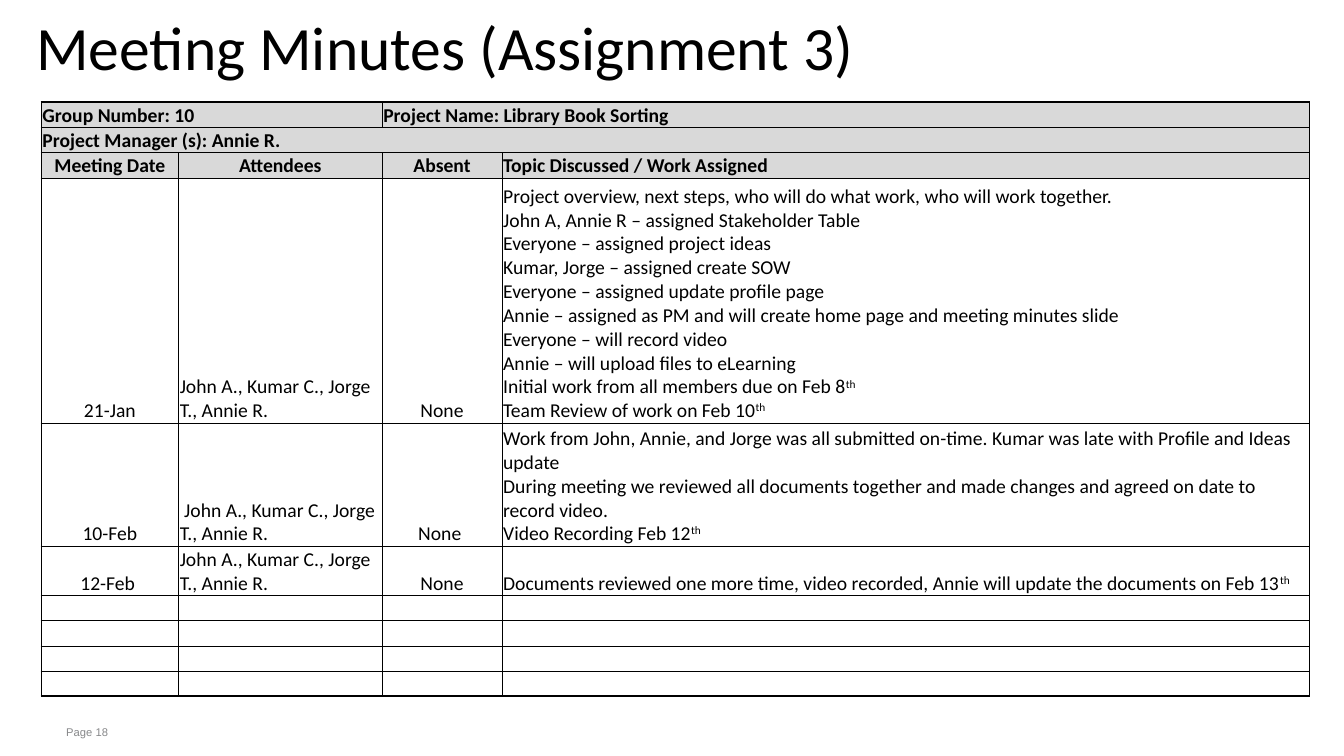
import pptx
import pptx.dml.color
import pptx.enum.text
import pptx.oxml.ns
import pptx.util
import lxml.etree

Cm = pptx.util.Cm
Pt = pptx.util.Pt
qn = pptx.oxml.ns.qn
ALIGN = pptx.enum.text.PP_ALIGN
ANCHOR = pptx.enum.text.MSO_ANCHOR


def write(tf, text, size=14, font="Calibri", color="000000", bold=False,
          align=ALIGN.LEFT, spacing=None):
    """Write one paragraph per line; what follows ^ in a line is superscript."""
    for i, line in enumerate(text.split("\n")):
        p = tf.add_paragraph() if i else tf.paragraphs[0]
        p.alignment = align
        if spacing:
            p.line_spacing = spacing
        base, _, raised = line.partition("^")
        for part in filter(None, (base, raised)):
            r = p.add_run()
            r.text = part
            r.font.size = Pt(size)
            r.font.name = font
            r.font.bold = bold
            r.font.color.rgb = pptx.dml.color.RGBColor.from_string(color)
            if part is raised:
                r._r.get_or_add_rPr().set("baseline", "30000")
        if not line:
            lxml.etree.SubElement(p._p, qn("a:endParaRPr"), sz=str(size * 100))


def set_borders(cell, **widths):
    tcPr = cell._tc.get_or_add_tcPr()
    for side, width in widths.items():
        ln = lxml.etree.SubElement(tcPr, qn("a:ln" + side), w=str(Pt(width)))
        fill = lxml.etree.SubElement(ln, qn("a:solidFill"))
        lxml.etree.SubElement(fill, qn("a:srgbClr"), val="000000")


prs = pptx.Presentation()
prs.slide_width = Cm(33.87)
prs.slide_height = Cm(19.05)
s = prs.slides.add_slide(prs.slide_layouts[5])

# Title
title = s.shapes.title
title.left, title.top, title.width, title.height = Cm(0.71), Cm(0.66), Cm(24.31), Cm(1.4)
tf = title.text_frame
tf.word_wrap = True
tf.auto_size = pptx.enum.text.MSO_AUTO_SIZE.NONE
tf.vertical_anchor = ANCHOR.MIDDLE
tf.margin_left = tf.margin_right = Cm(0.2)
tf.margin_top = tf.margin_bottom = 0
write(tf, "Meeting Minutes (Assignment 3)", size=44, spacing=0.75)

# Minutes table
rows = [
    ["Group Number: 10", "", "Project Name: Library Book Sorting", ""],
    ["Project Manager (s): Annie R.", "", "", ""],
    ["Meeting Date", "Attendees", "Absent", "Topic Discussed / Work Assigned"],
    ["21-Jan", "John A., Kumar C., Jorge T., Annie R.", "None",
     "Project overview, next steps, who will do what work, who will work together.\n"
     "John A, Annie R – assigned Stakeholder Table\n"
     "Everyone – assigned project ideas\n"
     "Kumar, Jorge – assigned create SOW\n"
     "Everyone – assigned update profile page\n"
     "Annie – assigned as PM and will create home page and meeting minutes slide\n"
     "Everyone – will record video\n"
     "Annie – will upload files to eLearning\n"
     "Initial work from all members due on Feb 8^th\n"
     "Team Review of work on Feb 10^th"],
    ["10-Feb", " John A., Kumar C., Jorge T., Annie R.", "None ",
     "Work from John, Annie, and Jorge was all submitted on-time. "
     "Kumar was late with Profile and Ideas update\n"
     "During meeting we reviewed all documents together and made changes "
     "and agreed on date to record video.\n"
     "Video Recording Feb 12^th"],
    ["12-Feb ", "John A., Kumar C., Jorge T., Annie R. ", "None",
     "Documents reviewed one more time, video recorded, "
     "Annie will update the documents on Feb 13^th"],
] + [[""] * 4] * 4
col_widths = [3.46, 5.13, 3.02, 20.35]
row_heights = [0.64, 0.64, 0.64, 6.17, 3.1, 1.25] + [0.62] * 4
header_rows = 3
last_row, last_col = len(rows) - 1, len(col_widths) - 1

table = s.shapes.add_table(len(rows), len(col_widths), Cm(1.04), Cm(2.57),
                           Cm(sum(col_widths)), Cm(sum(row_heights))).table
table.first_row = table.horz_banding = False
for column, width in zip(table.columns, col_widths):
    column.width = Cm(width)
for row, height in zip(table.rows, row_heights):
    row.height = Cm(height)
for row, first, last in [(0, 0, 1), (0, 2, 3), (1, 0, 3)]:
    table.cell(row, first).merge(table.cell(row, last))

for i, texts in enumerate(rows):
    header = i < header_rows
    for j, text in enumerate(texts):
        cell = table.cell(i, j)
        if cell.is_spanned:
            continue
        right_col = j + cell.span_width - 1
        set_borders(cell,
                    L=1 if j == 0 else 0.5,
                    R=1 if right_col == last_col else 0.5,
                    T=1 if i in (0, header_rows) else 0.5,
                    B=1 if i in (header_rows - 1, last_row) else 0.5)
        if header:
            cell.fill.solid()
            cell.fill.fore_color.rgb = pptx.dml.color.RGBColor.from_string("D9D9D9")
        else:
            cell.fill.background()
        cell.vertical_anchor = ANCHOR.BOTTOM
        cell.margin_left = cell.margin_right = cell.margin_top = Cm(0.03)
        cell.margin_bottom = 0
        centred = j in (0, 2) or (i == header_rows - 1 and j == 1)
        if i < header_rows - 1:
            centred = False
        write(cell.text_frame, text, bold=header,
              align=ALIGN.CENTER if centred else ALIGN.LEFT)

# Page label
page = s.shapes.add_textbox(Cm(1.47), Cm(18.14), Cm(27.41), Cm(0.61))
tf = page.text_frame
tf.word_wrap = True
tf.margin_left = tf.margin_right = Cm(0.2)
tf.margin_top = tf.margin_bottom = Cm(0.13)
write(tf, "Page 18", size=8, font="Arial", color="87888A")

prs.save("out.pptx")
